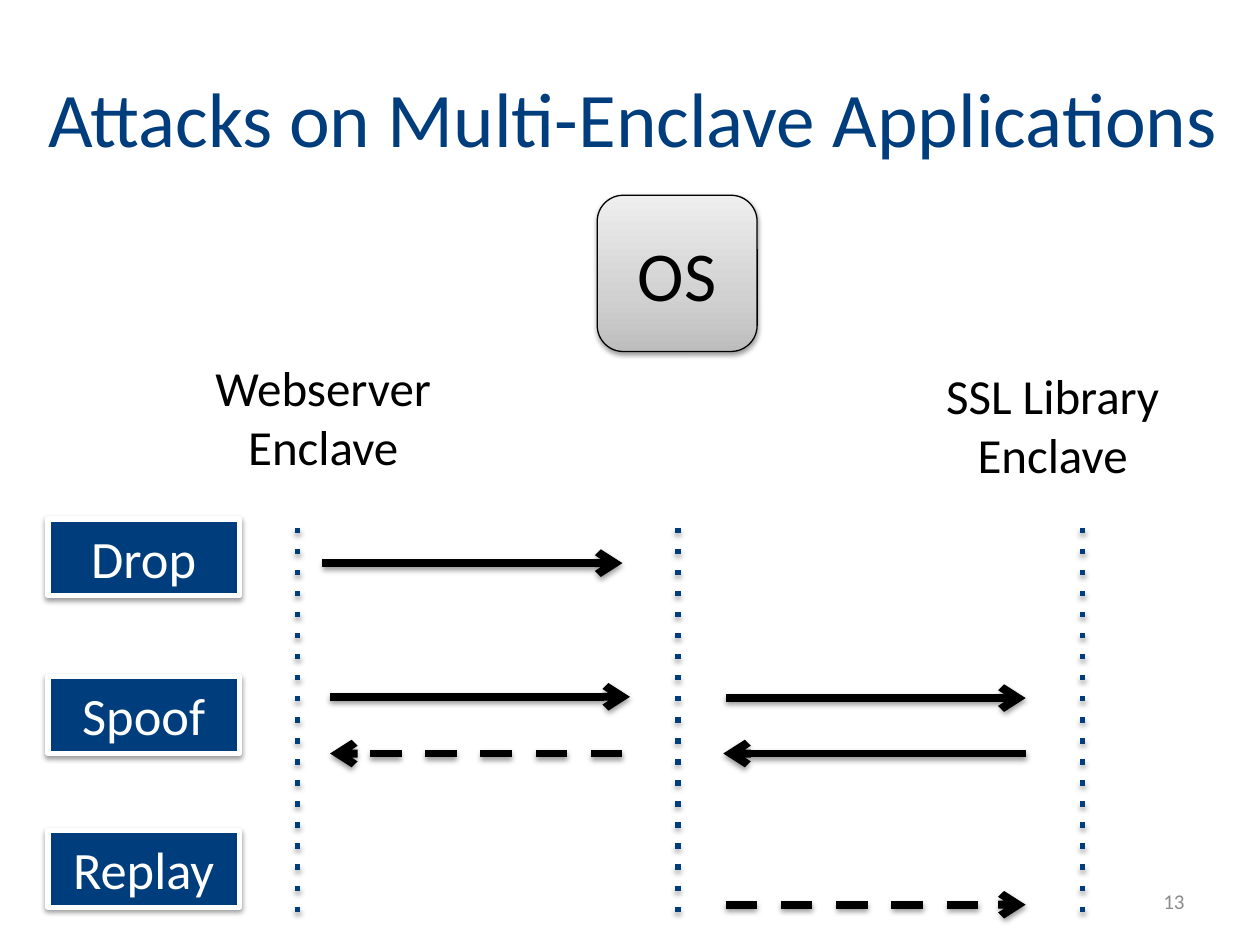
from copy import deepcopy
from lxml.etree import SubElement
from pptx import Presentation
from pptx.dml.color import RGBColor
from pptx.enum.shapes import MSO_CONNECTOR as Link, MSO_SHAPE as Preset
from pptx.enum.text import MSO_ANCHOR as Anchor, PP_ALIGN as Align
from pptx.oxml.ns import qn
from pptx.util import Pt

NAVY = RGBColor(0x00, 0x3D, 0x7C)
RED = RGBColor(0xC8, 0x0D, 0x06)
BLACK = RGBColor(0, 0, 0)
WHITE = RGBColor(255, 255, 255)
GREY = RGBColor(0x8C, 0x8C, 0x8C)
OS_GRADIENT = [
    (0, RGBColor(0xBD, 0xBD, 0xBD)),
    (0.35, RGBColor(0xD1, 0xD1, 0xD1)),
    (1, RGBColor(0xEE, 0xEE, 0xEE)),
]


class Diagram:
    font_name = "Calibri"

    def __init__(self, slide):
        self.shapes = slide.shapes

    def style_font(self, font, size, color):
        for attribute, value in {"name": self.font_name, "size": Pt(size)}.items():
            setattr(font, attribute, value)
        font.color.rgb = color

    def fill_text(self, frame, text, size, color, align, anchor, wrap=True):
        layout = {
            "text": text, "word_wrap": wrap, "vertical_anchor": anchor,
        }
        for attribute, value in layout.items():
            setattr(frame, attribute, value)
        for paragraph in frame.paragraphs:
            paragraph.alignment = align
            for run in paragraph.runs:
                self.style_font(run.font, size, color)

    def label(self, box, text, size, color=BLACK, align=Align.CENTER,
              anchor=Anchor.TOP, wrap=False):
        frame = self.shapes.add_textbox(*map(Pt, box)).text_frame
        self.fill_text(frame, text, size, color, align, anchor, wrap)
        return frame

    def title(self, box, parts):
        frame = self.label(box, "", 44.1, anchor=Anchor.MIDDLE, wrap=True)
        for text, size, color in parts:
            run = frame.paragraphs[0].add_run()
            run.text = text
            self.style_font(run.font, size, color)

    def shadow(self, effects, distance=1.6, opacity=38):
        outer = SubElement(
            effects, qn("a:outerShdw"), blurRad=str(Pt(3.1)),
            dist=str(Pt(distance)), dir="5400000", rotWithShape="0")
        shade = SubElement(outer, qn("a:srgbClr"), val=str(BLACK))
        SubElement(shade, qn("a:alpha"), val=str(opacity * 1000))

    def block(self, preset, box, text, size, color, outline, width):
        shape = self.shapes.add_shape(preset, *map(Pt, box))
        shape.line.color.rgb = outline
        shape.line.width = Pt(width)
        shape.shadow.inherit = False
        self.shadow(shape._element.spPr.find(qn("a:effectLst")))
        self.fill_text(shape.text_frame, text, size, color,
                       Align.CENTER, Anchor.MIDDLE)
        return shape

    def gradient(self, shape, colors):
        shape.fill.gradient()
        shape.fill.gradient_angle = 90
        stop_list = shape._element.spPr.find(".//" + qn("a:gsLst"))
        stop_list.append(deepcopy(stop_list[-1]))
        for stop, (position, color) in zip(shape.fill.gradient_stops, colors):
            stop.position = position
            stop.color.rgb = color

    def connector(self, start, end, color, width, dash="solid", arrow=False,
                  **shadow):
        link = self.shapes.add_connector(
            Link.STRAIGHT, *map(Pt, (*start, *end)))
        link.line.color.rgb = color
        link.line.width = Pt(width)
        stroke = link.get_or_add_ln()
        SubElement(stroke, qn("a:prstDash"), val=dash)
        if arrow:
            SubElement(stroke, qn("a:tailEnd"), type="arrow")
        self.shadow(SubElement(link._element.spPr, qn("a:effectLst")), **shadow)

    def lifeline(self, x):
        self.connector((x, 301.7), (x, 522), NAVY, 3, "dot",
                       distance=1.8, opacity=35)

    def message(self, x_from, x_to, y, dash="solid"):
        self.connector((x_from, y), (x_to, y), BLACK, 4.5, dash, arrow=True)


def main():
    deck = Presentation()
    deck.slide_width, deck.slide_height = Pt(720), Pt(540)
    diagram = Diagram(deck.slides.add_slide(deck.slide_layouts[6]))

    diagram.title((15.8, 21.6, 692, 90), [
        ("Attacks", 44.1, NAVY),
        (" ", 39.6, RED),
        ("on Multi-Enclave Applications", 44.1, NAVY),
    ])
    system = diagram.block(Preset.ROUNDED_RECTANGLE, (341.3, 111.6, 91.4, 89.3),
                           "OS", 40, BLACK, BLACK, 0.75)
    diagram.gradient(system, OS_GRADIENT)

    diagram.label((532, 205.2, 139, 75), "SSL Library\vEnclave", 28)
    diagram.label((114.5, 200.9, 140.4, 75), "Webserver\nEnclave", 28)

    for x in (618.5, 387.4, 169.9):
        diagram.lifeline(x)

    for attack, top in (("Drop", 296.6), ("Spoof", 386.6), ("Replay", 474.5)):
        badge = diagram.block(Preset.RECTANGLE, (27.4, top, 109.4, 43.9),
                              attack, 30, WHITE, WHITE, 3)
        badge.fill.solid()
        badge.fill.fore_color.rgb = NAVY

    for message in (
        (184.3, 355.7, 321.8),
        (414.7, 586.1, 517, "dash"),
        (188.6, 360, 398.2),
        (414.7, 586.1, 398.9),
        (586.1, 413.3, 430.6),
        (355.7, 188.6, 430.6, "dash"),
    ):
        diagram.message(*message)

    diagram.label((516.2, 500.4, 167.8, 28.8), "13", 12, GREY,
                  Align.RIGHT, Anchor.MIDDLE, True)
    deck.save("out.pptx")


if __name__ == "__main__":
    main()
